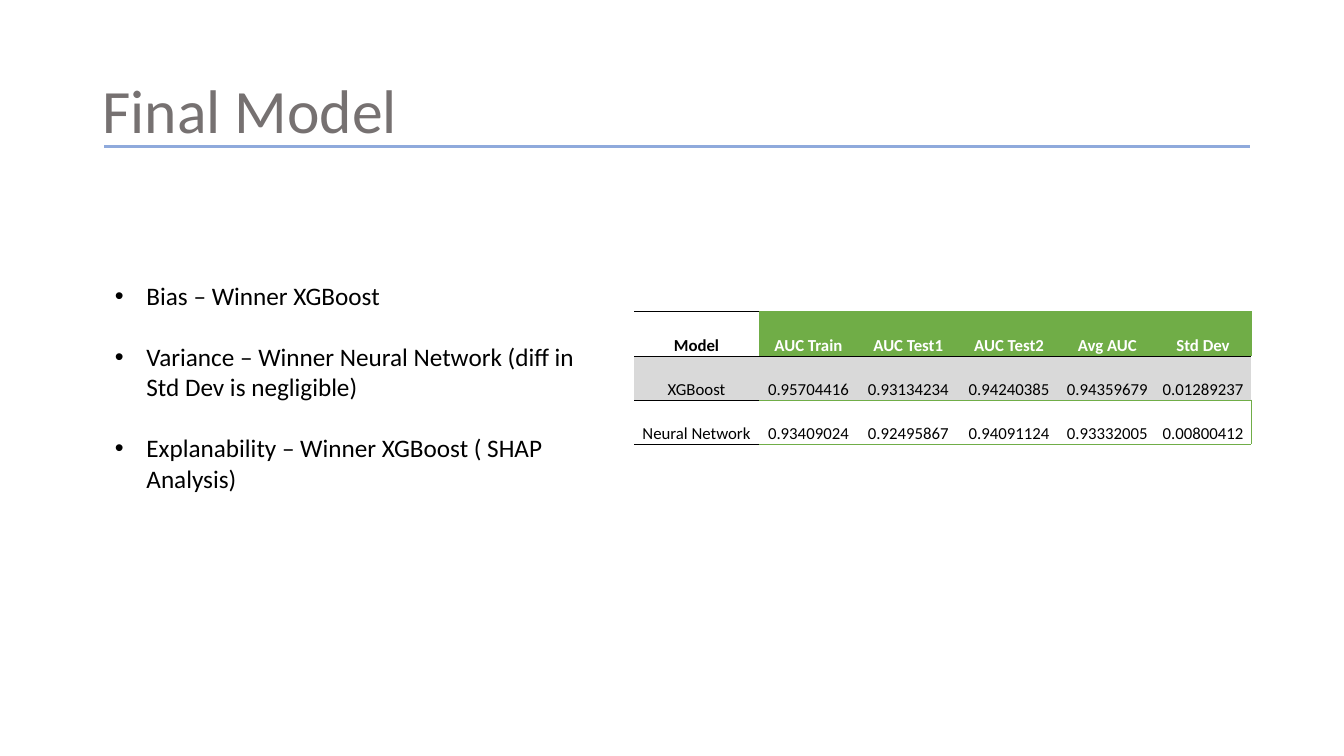
import pptx
import pptx.util
import pptx.dml.color
import pptx.enum.shapes
import pptx.enum.text
import pptx.oxml
import pptx.oxml.ns

Pt = pptx.util.Pt
Align = pptx.enum.text.PP_ALIGN
Anchor = pptx.enum.text.MSO_ANCHOR

BLACK, WHITE, GREEN, GREY = "000000", "FFFFFF", "70AD47", "D9D9D9"
NO_STYLE = "{2D5ABB26-0587-4C30-8999-92F81FD0307C}"

CRITERIA = [
    "Bias – Winner XGBoost",
    "Variance – Winner Neural Network (diff in Std Dev is negligible)",
    "Explanability – Winner XGBoost ( SHAP Analysis)",
]
SCORES = [
    ["Model", "AUC Train", "AUC Test1", "AUC Test2", "Avg AUC", "Std Dev"],
    ["XGBoost", "0.95704416", "0.93134234", "0.94240385", "0.94359679", "0.01289237"],
    ["Neural Network", "0.93409024", "0.92495867", "0.94091124", "0.93332005", "0.00800412"],
]
COLUMN_WIDTHS = [89.3, 70.6, 72, 72, 68.4, 68.4]


def color(value):
    return pptx.dml.color.RGBColor.from_string(value)


def write(paragraph, text, size=18, fill=BLACK, bold=False, align=Align.LEFT,
          line_spacing=1.0, before=0):
    run = paragraph.add_run()
    run.text = text
    run.font.name = "Calibri"
    run.font.size = Pt(size)
    run.font.bold = bold
    run.font.color.rgb = color(fill)
    paragraph.alignment = align
    paragraph.line_spacing = line_spacing
    paragraph.space_before = Pt(before)
    paragraph.space_after = Pt(0)


def place(shape, left, top, width, height, anchor):
    shape.left, shape.top = Pt(left), Pt(top)
    shape.width, shape.height = Pt(width), Pt(height)
    frame = shape.text_frame
    frame.word_wrap = True
    frame.auto_size = pptx.enum.text.MSO_AUTO_SIZE.NONE
    frame.vertical_anchor = anchor
    return frame


def add_heading(slide, left, top, width, height):
    frame = place(slide.shapes.title, left, top, width, height, Anchor.MIDDLE)
    write(frame.paragraphs[0], "Final Model", size=44, fill="767171", line_spacing=0.9)

    # Rule under the title
    rule_y = Pt(top + 75.6)
    rule = slide.shapes.add_connector(
        pptx.enum.shapes.MSO_CONNECTOR.STRAIGHT,
        Pt(left + 8.6), rule_y, Pt(left + width - 1.4), rule_y)
    rule.line.color.rgb = color("8FAADC")
    rule.line.width = Pt(2)
    rule._element.spPr.append(pptx.oxml.parse_xml(
        f'<a:effectLst {pptx.oxml.ns.nsdecls("a")}/>'))


def add_criteria(slide, left, top, width, height):
    frame = place(slide.placeholders[1], left, top, width, height, Anchor.TOP)
    indent = Pt(22.5)
    for i, criterion in enumerate(CRITERIA):
        paragraph = frame.paragraphs[0] if i == 0 else frame.add_paragraph()
        write(paragraph, criterion, before=22 if i else 0)
        properties = paragraph._p.get_or_add_pPr()
        properties.set("marL", str(indent))
        properties.set("indent", str(-indent))
        for bullet in ('buFont {} typeface="Arial"', 'buChar {} char="•"'):
            properties.append(pptx.oxml.parse_xml(
                f'<a:{bullet.format(pptx.oxml.ns.nsdecls("a"))}/>'))


def cell_borders(row, column):
    """Edges in schema order: right, top, bottom."""
    edge = BLACK if column == 0 else GREEN
    borders = {}
    if column == len(COLUMN_WIDTHS) - 1 and row != 1:
        borders["lnR"] = GREEN
    if row == 0 or (row == 2 and column):
        borders["lnT"] = edge
    elif row == 1 and column == 0:
        borders["lnT"] = BLACK
    if row != 1:
        borders["lnB"] = BLACK if row == 0 else edge
    return borders


def add_scores(slide, left, top, width, height):
    table = slide.shapes.add_table(
        len(SCORES), len(COLUMN_WIDTHS), Pt(left), Pt(top), Pt(width), Pt(height)).table
    table.first_row = table.horz_banding = False
    table._tbl.tblPr.find(pptx.oxml.ns.qn("a:tableStyleId")).text = NO_STYLE
    for column, share in zip(table.columns, COLUMN_WIDTHS):
        column.width = Pt(width * share / sum(COLUMN_WIDTHS))
    for r, values in enumerate(SCORES):
        table.rows[r].height = Pt(height / len(SCORES))
        for c, value in enumerate(values):
            cell = table.cell(r, c)
            cell.margin_left = cell.margin_right = cell.margin_top = Pt(0.7)
            cell.margin_bottom = Pt(0)
            cell.vertical_anchor = Anchor.BOTTOM
            green_header = r == 0 and c > 0
            write(cell.text_frame.paragraphs[0], value, size=12, bold=r == 0,
                  fill=WHITE if green_header else BLACK, align=Align.CENTER)
            if green_header or r == 1:
                cell.fill.solid()
                cell.fill.fore_color.rgb = color(GREEN if green_header else GREY)
            else:
                cell.fill.background()
            properties = cell._tc.get_or_add_tcPr()
            for position, (side, shade) in enumerate(cell_borders(r, c).items()):
                properties.insert(position, pptx.oxml.parse_xml(
                    f'<a:{side} {pptx.oxml.ns.nsdecls("a")} w="{Pt(0.5)}"><a:solidFill>'
                    f'<a:srgbClr val="{shade}"/></a:solidFill></a:{side}>'))


def main():
    deck = pptx.Presentation()
    deck.slide_width, deck.slide_height = Pt(960), Pt(540)
    slide = deck.slides.add_slide(deck.slide_layouts[1])
    add_heading(slide, 66, 28.8, 828, 104.4)
    add_scores(slide, 452.9, 222.7, 440.7, 94.5)
    add_criteria(slide, 74.9, 196.6, 357.1, 181.4)
    deck.save("out.pptx")


if __name__ == "__main__":
    main()
